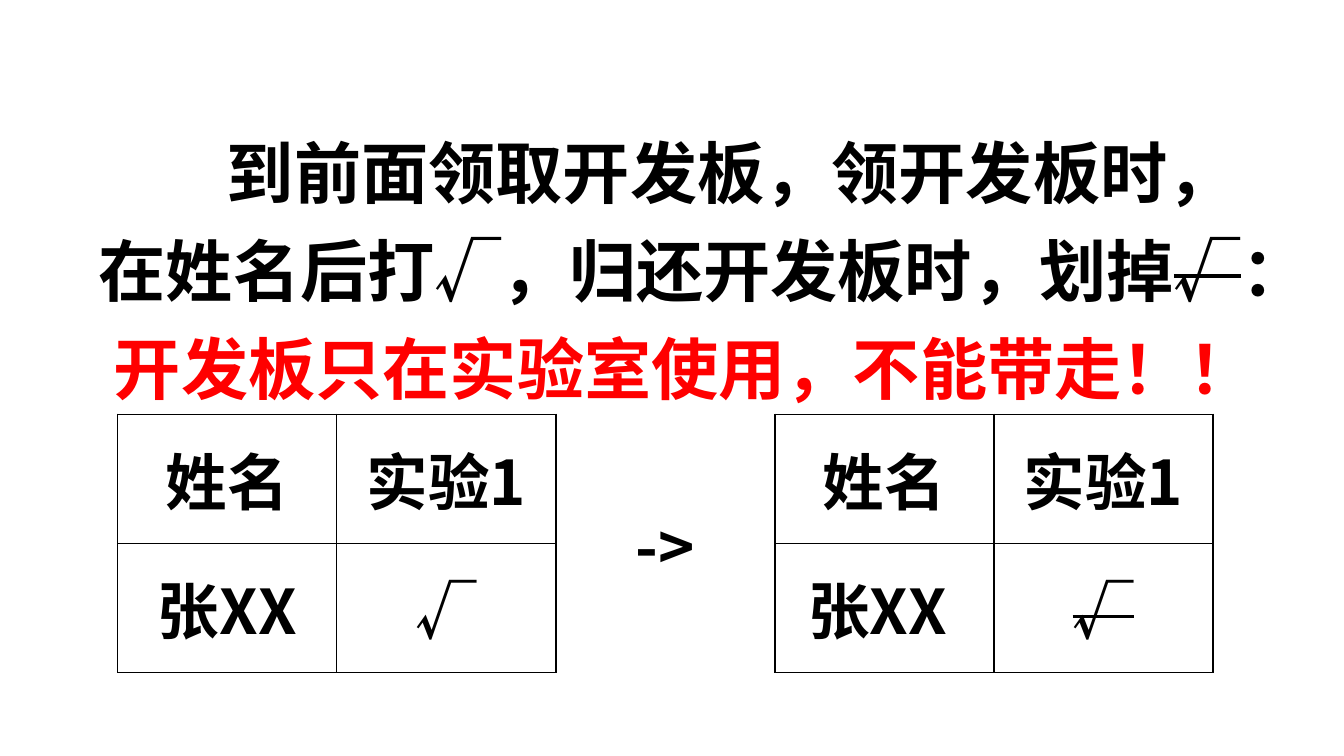
from lxml import etree
from pptx import Presentation
from pptx.dml.color import RGBColor
from pptx.enum import text
from pptx.oxml import ns
from pptx.util import Cm, Pt

BLACK = RGBColor(0, 0, 0)
RED = RGBColor(255, 0, 0)
FONT = "Noto Sans CJK SC"


def write_paragraph(paragraph, pieces, size, color=BLACK, align=text.PP_ALIGN.CENTER):
    paragraph.alignment = align
    font = paragraph.font
    font.size, font.bold, font.name = Pt(size), True, FONT
    font.color.rgb = color
    etree.SubElement(font._element, ns.qn("a:ea"), typeface=FONT)
    for words, struck in pieces:
        run = paragraph.add_run()
        run.text = words
        if struck:
            run.font._element.set("strike", "sngStrike")


def set_borders(cell, visible_sides):
    properties = cell._tc.get_or_add_tcPr()
    for position, side in enumerate("LRTB"):
        line = etree.Element(ns.qn(f"a:ln{side}"), w=str(Pt(1)))
        if side in visible_sides:
            fill = etree.SubElement(line, ns.qn("a:solidFill"))
            etree.SubElement(fill, ns.qn("a:srgbClr"), val=str(BLACK))
        else:
            etree.SubElement(line, ns.qn("a:noFill"))
        properties.insert(position, line)


presentation = Presentation()
presentation.slide_width, presentation.slide_height = Cm(33.87), Cm(19.05)
slide = presentation.slides.add_slide(presentation.slide_layouts[6])

notice = slide.shapes.add_textbox(Cm(2.24), Cm(2.74), Cm(30.05), Cm(7.75)).text_frame
notice.word_wrap = True
instruction, warning = notice.paragraphs[0], notice.add_paragraph()
for paragraph in (instruction, warning):
    paragraph.line_spacing = Pt(70)
instruction._p.get_or_add_pPr().set("indent", str(Cm(3.23)))
write_paragraph(
    instruction,
    [("到前面领取开发板，领开发板时，在姓名后打√，归还开发板时，划掉", False), ("√", True), ("：", False)],
    48,
    align=text.PP_ALIGN.LEFT,
)
write_paragraph(warning, [("开发板只在实验室使用，不能带走！！", False)], 48, RED)

rows = [
    ["姓名", "实验1", "->", "姓名", "实验1"],
    ["张XX", "√", "", "张XX ", "√"],
]
ARROW_COLUMN = 2
table = slide.shapes.add_table(2, 5, Cm(2.97), Cm(10.44), Cm(27.6), Cm(6.5)).table
table.first_row = table.horz_banding = False
for row_index, row in enumerate(rows):
    for column_index, words in enumerate(row):
        cell = table.cell(row_index, column_index)
        cell.fill.background()
        cell.vertical_anchor = text.MSO_ANCHOR.MIDDLE
        set_borders(cell, "LR" if column_index == ARROW_COLUMN else "LRTB")
        if words:
            struck = words == "√" and column_index > ARROW_COLUMN
            write_paragraph(cell.text_frame.paragraphs[0], [(words, struck)], 44)
table.cell(0, ARROW_COLUMN).merge(table.cell(1, ARROW_COLUMN))

presentation.save("out.pptx")
